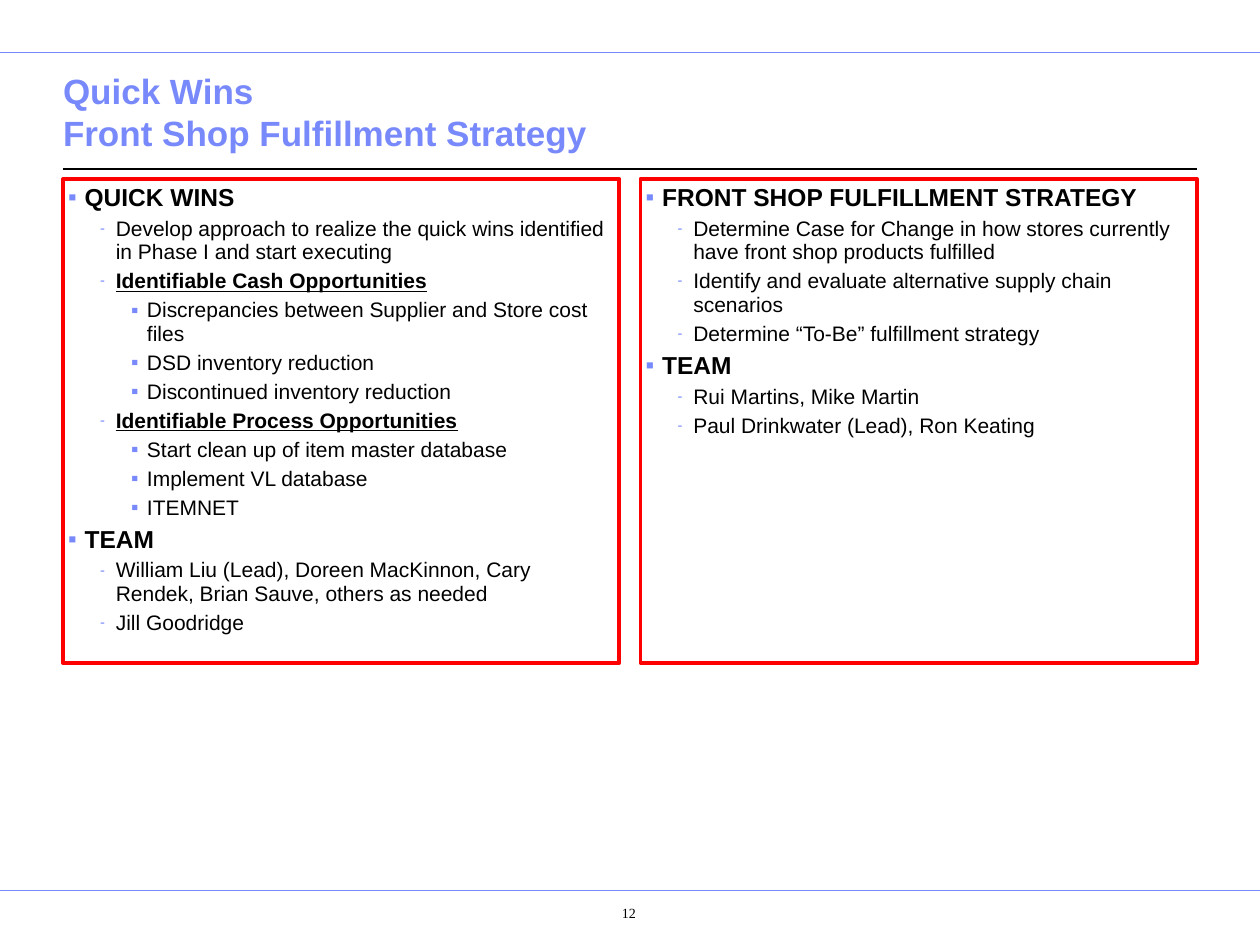
import pptx
import pptx.dml.color
import pptx.enum.shapes
import pptx.enum.text
import pptx.oxml.ns
import pptx.util
from dataclasses import dataclass
from lxml import etree

Pt = pptx.util.Pt
qn = pptx.oxml.ns.qn
Color = pptx.dml.color.RGBColor.from_string


@dataclass(frozen=True)
class Theme:
    accent: str = "7889FB"
    text: str = "000000"
    frame: str = "FF0000"
    font: str = "Arial"
    number_font: str = "Times New Roman"
    title_size: float = 20
    heading_size: float = 14
    body_size: float = 12
    number_size: float = 8


theme = Theme()

# Per level: left margin, hanging indent, space before, bullet, bullet size in percent
LEVELS = [
    (9.36, 9.36, 3.5, "▪", 100),
    (27.2, 9, 3, "-", 70),
    (45, 9, 3, "▪", 100),
]

# Level, text, underlined subheading
PANELS = [
    [
        (0, "QUICK WINS", False),
        (1, "Develop approach to realize the quick wins identified in Phase I and start executing", False),
        (1, "Identifiable Cash Opportunities", True),
        (2, "Discrepancies between Supplier and Store cost files", False),
        (2, "DSD inventory reduction", False),
        (2, "Discontinued inventory reduction", False),
        (1, "Identifiable Process Opportunities", True),
        (2, "Start clean up of item master database", False),
        (2, "Implement VL database", False),
        (2, "ITEMNET", False),
        (0, "TEAM", False),
        (1, "William Liu (Lead), Doreen MacKinnon, Cary Rendek, Brian Sauve, others as needed", False),
        (1, "Jill Goodridge", False),
    ],
    [
        (0, "FRONT SHOP FULFILLMENT STRATEGY", False),
        (1, "Determine Case for Change in how stores currently have front shop products fulfilled", False),
        (1, "Identify and evaluate alternative supply chain scenarios", False),
        (1, "Determine “To-Be” fulfillment strategy", False),
        (0, "TEAM", False),
        (1, "Rui Martins, Mike Martin", False),
        (1, "Paul Drinkwater (Lead), Ron Keating", False),
    ],
]


def set_insets(frame, left, top, right, bottom):
    frame.margin_left, frame.margin_top = Pt(left), Pt(top)
    frame.margin_right, frame.margin_bottom = Pt(right), Pt(bottom)
    frame.word_wrap = True
    frame.auto_size = pptx.enum.text.MSO_AUTO_SIZE.NONE


def add_bullet(paragraph, level):
    margin, hanging, _, character, percent = LEVELS[level]
    properties = paragraph._p.get_or_add_pPr()
    properties.set("marL", str(Pt(margin)))
    properties.set("indent", str(-Pt(hanging)))
    color = etree.SubElement(properties, qn("a:buClr"))
    etree.SubElement(color, qn("a:srgbClr"), val=theme.accent)
    etree.SubElement(properties, qn("a:buSzPct"), val=str(percent * 1000))
    etree.SubElement(properties, qn("a:buFont"), typeface=theme.font)
    etree.SubElement(properties, qn("a:buChar"), char=character)


presentation = pptx.Presentation()
presentation.slide_width, presentation.slide_height = Pt(720), Pt(540)
slide = presentation.slides.add_slide(presentation.slide_layouts[5])

# Horizontal rules: start, end, height, color, width
for start, end, y, color, width in [
    (0, 720, 30, theme.accent, 0.5),
    (0, 720, 509, theme.accent, 0.5),
    (36, 684, 96.5, theme.text, 0.75),
]:
    rule = slide.shapes.add_connector(
        pptx.enum.shapes.MSO_CONNECTOR.STRAIGHT, Pt(start), Pt(y), Pt(end), Pt(y))
    rule.line.color.rgb = Color(color)
    rule.line.width = Pt(width)
    etree.SubElement(rule._element.spPr, qn("a:effectLst"))

# Title
title = slide.shapes.title
title.left, title.top, title.width, title.height = Pt(36), Pt(46), Pt(648), Pt(45.5)
title.text_frame.text = "Quick Wins\vFront Shop Fulfillment Strategy"
set_insets(title.text_frame, 0, 3.6, 0, 3.6)
title.text_frame.vertical_anchor = pptx.enum.text.MSO_ANCHOR.BOTTOM
paragraph = title.text_frame.paragraphs[0]
paragraph.alignment = pptx.enum.text.PP_ALIGN.LEFT
paragraph.font.name = theme.font
paragraph.font.size = Pt(theme.title_size)
paragraph.font.bold = True
paragraph.font.color.rgb = Color(theme.accent)

# Two framed panels
for column, items in enumerate(PANELS):
    panel = slide.shapes.add_shape(
        pptx.enum.shapes.MSO_SHAPE.RECTANGLE,
        Pt(36 + 330 * column), Pt(102.3), Pt(318), Pt(276.5))
    panel.shadow.inherit = False
    panel.fill.background()
    panel.line.color.rgb = Color(theme.frame)
    panel.line.width = Pt(2.25)
    frame = panel.text_frame
    set_insets(frame, 3, 3, 3, 3)
    frame.vertical_anchor = pptx.enum.text.MSO_ANCHOR.TOP
    for index, (level, text, subheading) in enumerate(items):
        paragraph = frame.add_paragraph() if index else frame.paragraphs[0]
        paragraph.text = text
        paragraph.level = level
        add_bullet(paragraph, level)
        paragraph.alignment = pptx.enum.text.PP_ALIGN.LEFT
        paragraph.line_spacing = 0.94
        if index:
            paragraph.space_before = Pt(LEVELS[level][2])
        paragraph.font.name = theme.font
        paragraph.font.size = Pt(theme.body_size if level else theme.heading_size)
        paragraph.font.bold = level == 0 or subheading
        paragraph.font.underline = subheading
        paragraph.font.color.rgb = Color(theme.text)

# Page number
number = slide.shapes.add_textbox(Pt(307.5), Pt(512), Pt(83), Pt(25))
set_insets(number.text_frame, 28, 5, 7.2, 3.6)
paragraph = number.text_frame.paragraphs[0]
paragraph.text = "12"
paragraph.alignment = pptx.enum.text.PP_ALIGN.CENTER
paragraph.font.name = theme.number_font
paragraph.font.size = Pt(theme.number_size)
paragraph.font.color.rgb = Color(theme.text)

presentation.save("out.pptx")
